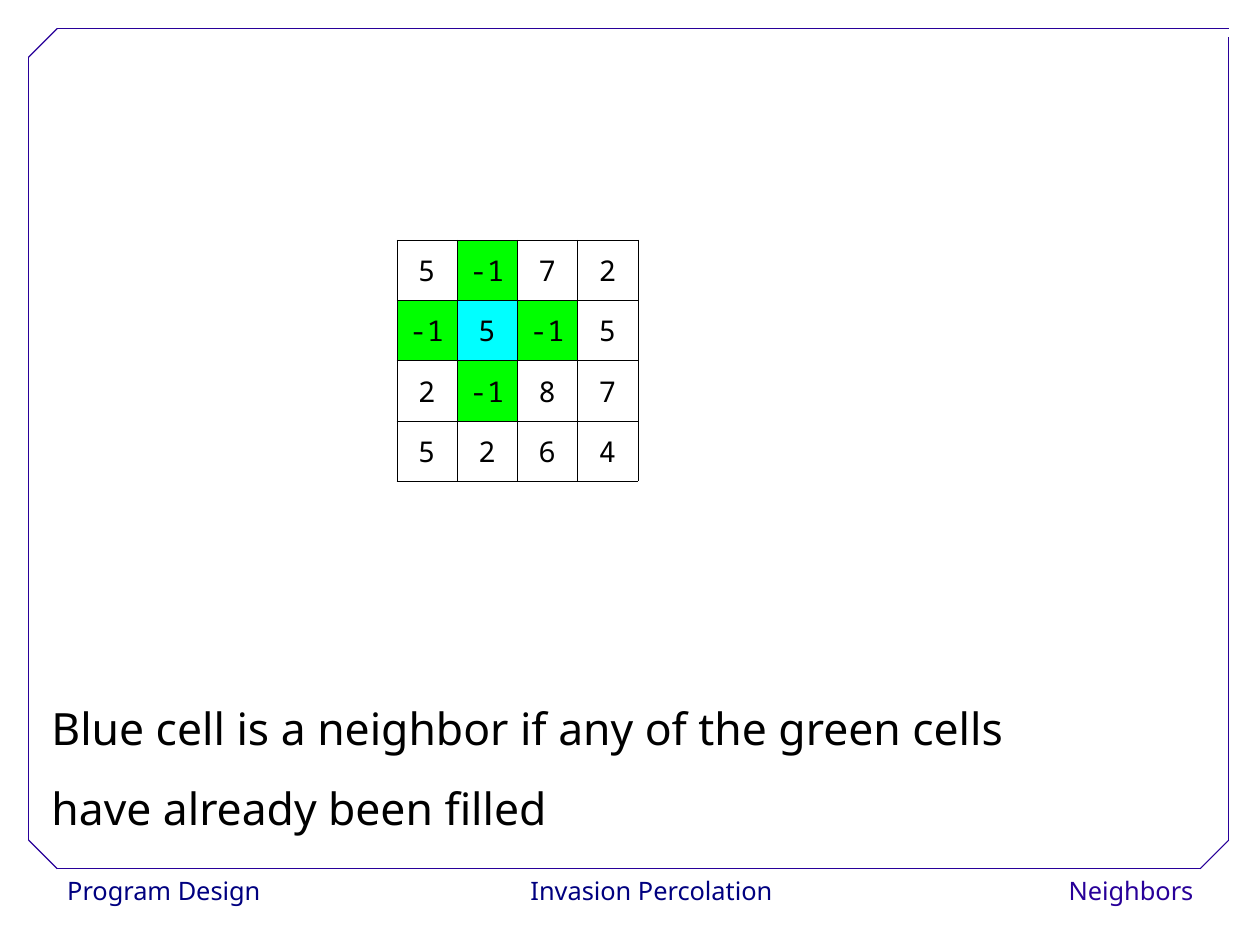
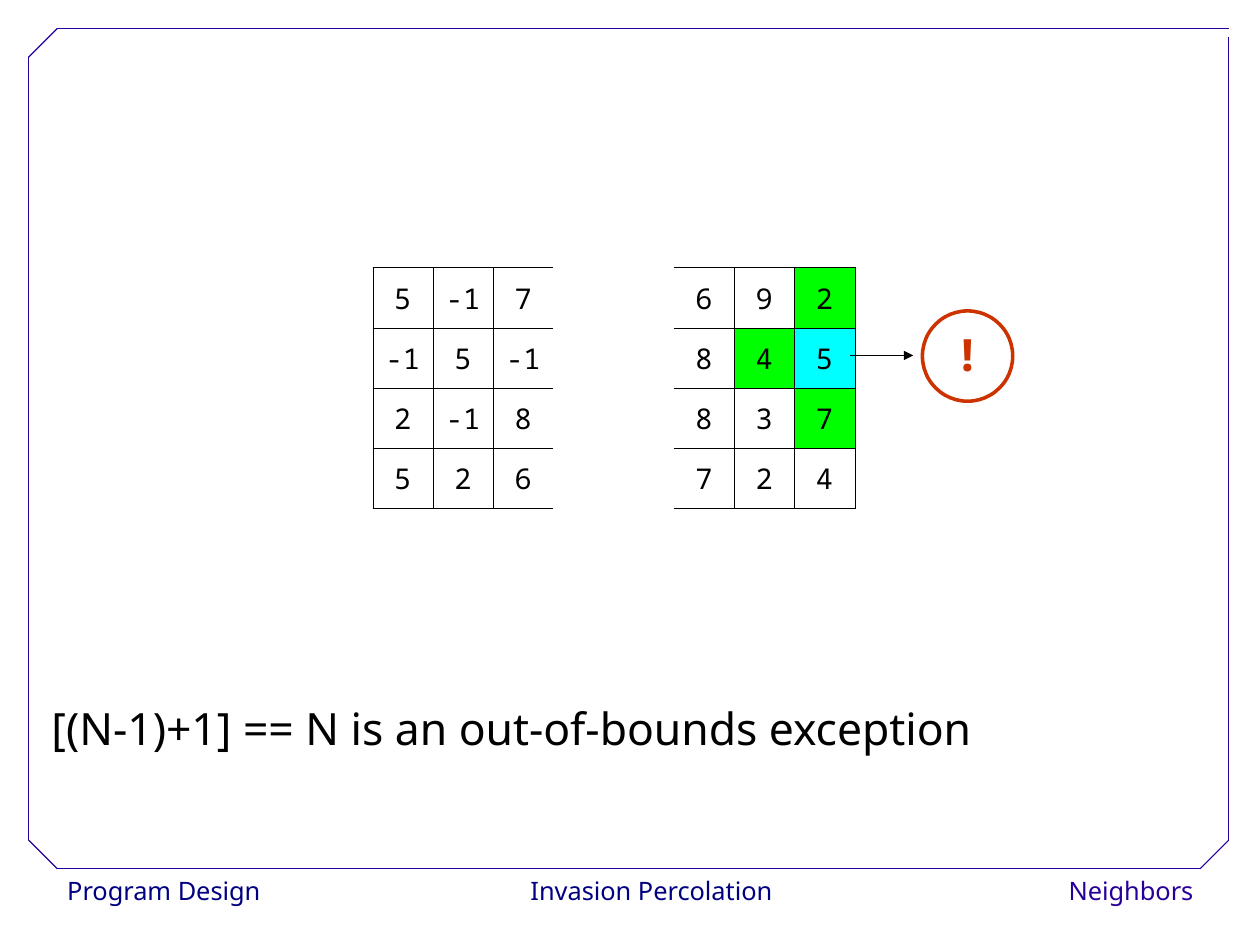
from dataclasses import dataclass

from lxml import etree
from pptx import Presentation
from pptx.dml.color import RGBColor
from pptx.enum import shapes, text
from pptx.oxml.ns import qn
from pptx.util import Cm, Inches, Pt


@dataclass(frozen=True)
class Theme:
    font: str = "Noto Sans"
    mono: str = "Noto Sans Mono"
    ink: str = "000000"
    navy: str = "000080"
    violet: str = "280099"
    red: str = "CC3300"
    green: str = "00FF00"
    cyan: str = "00FFFF"
    caption_size: float = 28
    cell_size: float = 18
    footer_size: float = 16
    thin: float = 0.75
    ring: float = 2.25
    hairline: float = 0.06


THEME = Theme()
LEFT, CENTER, RIGHT = text.PP_ALIGN.LEFT, text.PP_ALIGN.CENTER, text.PP_ALIGN.RIGHT

PAGE = Cm(28), Cm(21)
CELL = 2.11 / 4
FOOTER_WIDTH = 2.4
FOOTERS = [  # text, left, alignment, colour
    ("Program Design", 0.49, LEFT, THEME.navy),
    ("Invasion Percolation", 4.5, CENTER, THEME.navy),
    ("Neighbors", 8.14, RIGHT, THEME.violet),
]
FRAME_LINES = [
    ((0.5, 7.6), (10.5, 7.6)),
    ((0.25, 7.35), (0.25, 0.5)),
    ((0.5, 0.25), (10.75, 0.25)),
    ((10.75, 7.35), (10.75, 0.32)),
    ((0.25, 0.5), (0.5, 0.25)),
    ((10.5, 7.6), (10.75, 7.35)),
    ((0.25, 7.35), (0.5, 7.6)),
]
SLIDES = [  # None in a grid marks the gap between its two ends
    {
        "caption": ["Blue cell is a neighbor if any of the green cells",
                    "have already been filled"],
        "at": (3.47, 2.1),
        "blue": (1, 1),
        "grid": [[5, -1, 7, 2],
                 [-1, 5, -1, 5],
                 [2, -1, 8, 7],
                 [5, 2, 6, 4]],
    },
    {
        "caption": ["[(N-1)+1] == N is an out-of-bounds exception"],
        "at": (3.26, 2.34),
        "blue": (1, 7),
        "grid": [[5, -1, 7, None, None, 6, 9, 2],
                 [-1, 5, -1, None, None, 8, 4, 5],
                 [2, -1, 8, None, None, 8, 3, 7],
                 [5, 2, 6, None, None, 7, 2, 4]],
        "arrow": ((7.44, 3.11), (7.99, 3.11)),
        "warning": ("!", (8.07, 2.72), 0.79),
    },
]


def rgb(color):
    return RGBColor.from_string(color)


def style(para, size, color, align, font=THEME.font, spacing=1.02, bold=False):
    para.alignment = align
    para.line_spacing = spacing
    para.font.name = font
    para.font.size = Pt(size)
    para.font.bold = bold
    para.font.color.rgb = rgb(color)


def add_line(slide, start, end, color, arrow=False):
    line = slide.shapes.add_connector(
        shapes.MSO_CONNECTOR.STRAIGHT, *map(Inches, start + end))
    line.line.color.rgb = rgb(color)
    line.line.width = Pt(THEME.thin)
    properties = line.element.spPr
    if arrow:
        etree.SubElement(properties.find(qn("a:ln")), qn("a:tailEnd"), type="triangle")
    etree.SubElement(properties, qn("a:effectLst"))
    return line


def add_footer(slide, label, left, align, color):
    box = slide.shapes.add_textbox(
        Inches(left), Inches(7.6), Inches(FOOTER_WIDTH), Inches(0.4))
    box.text_frame.word_wrap = True
    box.text_frame.text = label
    style(box.text_frame.paragraphs[0], THEME.footer_size, color, align)
    return box


def set_up_layout(layout, slide):
    """Place the caption and move the frame and footers, drawn on slide, to layout."""
    for holder in list(layout.placeholders):
        if holder.placeholder_format.type != shapes.PP_PLACEHOLDER.TITLE:
            holder.element.getparent().remove(holder.element)
    caption = layout.placeholders[0]
    caption.left, caption.top = Inches(0.35), Inches(5.85)
    caption.width, caption.height = Inches(9.5), Inches(1.5)
    frame = caption.text_frame
    frame.vertical_anchor = text.MSO_ANCHOR.TOP
    frame.auto_size = text.MSO_AUTO_SIZE.NONE

    parts = [add_footer(slide, *footer) for footer in FOOTERS]
    parts += [add_line(slide, *ends, THEME.violet) for ends in FRAME_LINES]
    for part in parts:
        layout.shapes.element.append(part.element)


def set_borders(cell, visible):
    """Draw the sides named in visible and clear the others."""
    properties = cell._tc.get_or_add_tcPr()
    for index, side in enumerate("LRTB"):
        border = etree.Element(qn("a:ln" + side), w=str(Pt(THEME.hairline)))
        if side in visible:
            fill = etree.SubElement(border, qn("a:solidFill"))
            etree.SubElement(fill, qn("a:srgbClr"), val=THEME.ink)
        else:
            etree.SubElement(border, qn("a:noFill"))
        properties.insert(index, border)


def visible_sides(row, column):
    """Every side, except one that faces a gap; none inside the gap."""
    if row[column] is None:
        return ""
    sides = "TB"
    if column == 0 or row[column - 1] is not None:
        sides += "L"
    if column == len(row) - 1 or row[column + 1] is not None:
        sides += "R"
    return sides


def add_grid(slide, at, grid, blue):
    """Colour the blue cell and the green cells that touch its sides."""
    rows, columns = len(grid), len(grid[0])
    table = slide.shapes.add_table(
        rows, columns, *map(Inches, at),
        Inches(CELL * columns), Inches(CELL * rows)).table
    table.first_row = table.horz_banding = False
    for r, row in enumerate(grid):
        for c, value in enumerate(row):
            cell = table.cell(r, c)
            distance = abs(r - blue[0]) + abs(c - blue[1])
            if distance < 2:
                cell.fill.solid()
                cell.fill.fore_color.rgb = rgb((THEME.cyan, THEME.green)[distance])
            else:
                cell.fill.background()
            set_borders(cell, visible_sides(row, c))
            if value is not None:
                cell.text = str(value)
                cell.vertical_anchor = text.MSO_ANCHOR.MIDDLE
                style(cell.text_frame.paragraphs[0], THEME.cell_size, THEME.ink,
                      CENTER, THEME.mono)


def add_warning(slide, mark, at, size):
    ring = slide.shapes.add_shape(
        shapes.MSO_SHAPE.OVAL, *map(Inches, (*at, size, size)))
    ring.shadow.inherit = False
    ring.fill.background()
    ring.line.color.rgb = rgb(THEME.red)
    ring.line.width = Pt(THEME.ring)
    frame = ring.text_frame
    frame.margin_left = frame.margin_right = frame.margin_top = 0
    frame.margin_bottom = Inches(0.05)
    frame.vertical_anchor = text.MSO_ANCHOR.MIDDLE
    frame.text = mark
    style(frame.paragraphs[0], THEME.caption_size, THEME.red, CENTER, THEME.mono,
          bold=True)


def main():
    deck = Presentation()
    deck.slide_width, deck.slide_height = PAGE
    layout = deck.slide_layouts.get_by_name("Title Only")
    for number, content in enumerate(SLIDES):
        slide = deck.slides.add_slide(layout)
        if number == 0:
            set_up_layout(layout, slide)
        caption = slide.shapes.title.text_frame
        caption.text = "\n".join(content["caption"])
        for para in caption.paragraphs:
            style(para, THEME.caption_size, THEME.ink, LEFT, spacing=1.5)
        add_grid(slide, content["at"], content["grid"], content["blue"])
        if "arrow" in content:
            add_line(slide, *content["arrow"], THEME.ink, arrow=True)
        if "warning" in content:
            add_warning(slide, *content["warning"])
    deck.save("out.pptx")


if __name__ == "__main__":
    main()
